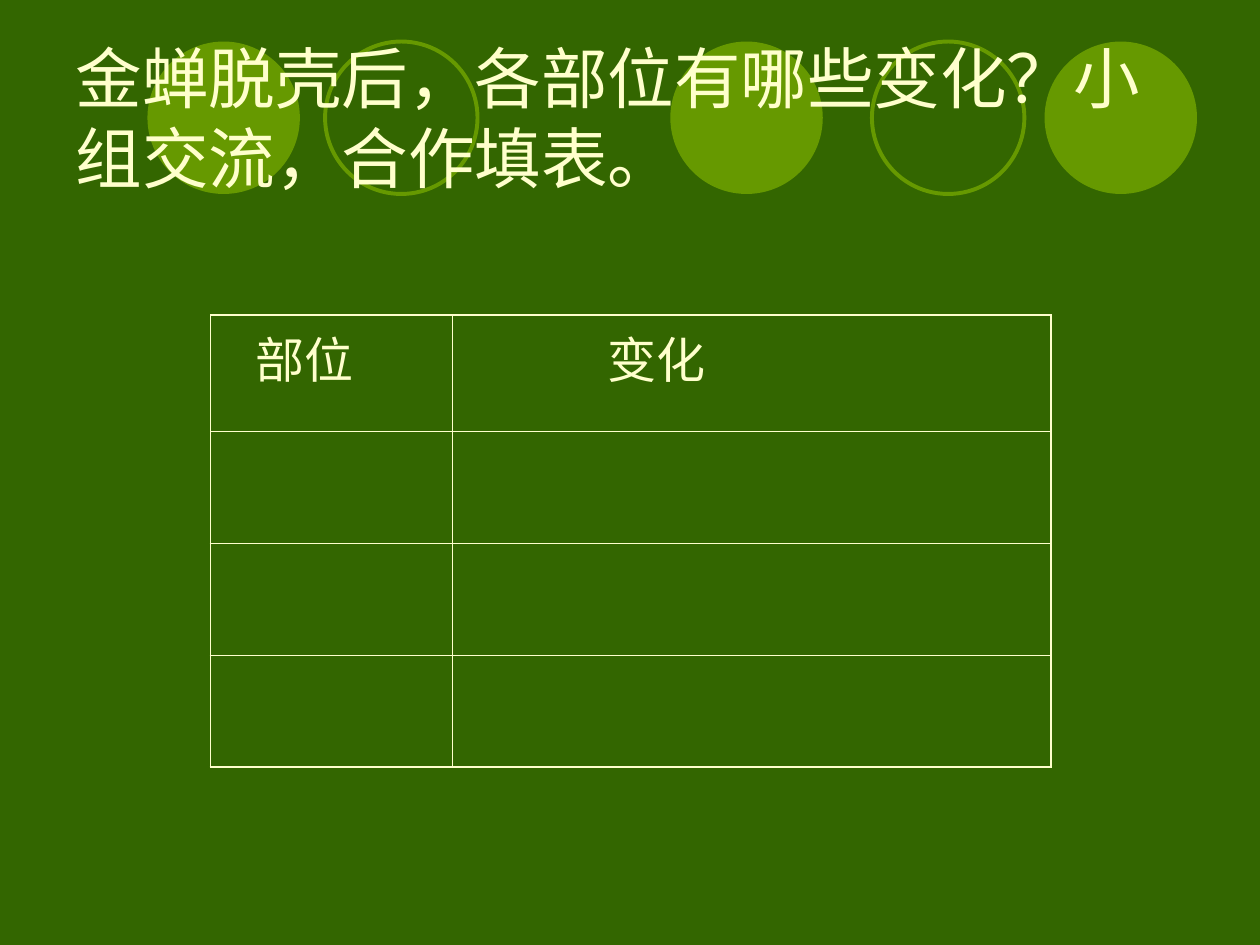
from lxml import etree
from pptx import Presentation
from pptx.dml.color import RGBColor
from pptx.enum.shapes import MSO_SHAPE
from pptx.enum.text import MSO_ANCHOR, MSO_AUTO_SIZE, PP_ALIGN
from pptx.oxml.ns import qn
from pptx.util import Inches, Pt

OVAL = MSO_SHAPE.OVAL
MIDDLE = MSO_ANCHOR.MIDDLE
NO_AUTOFIT = MSO_AUTO_SIZE.NONE
LEFT = PP_ALIGN.LEFT

DARK_GREEN = RGBColor(0x33, 0x66, 0x00)
LIME = RGBColor(0x66, 0x99, 0x00)
CREAM = RGBColor(0xFF, 0xFF, 0xCC)
TITLE_FONT = "Noto Sans CJK SC"
BODY_FONT = "Arial"

TITLE = "金蝉脱壳后，各部位有哪些变化？小组交流，合作填表。"
# Column heading, width and heading indent in inches
COLUMNS = [("部位", 1.92, 0.26), ("变化", 4.75, 1.13)]
ROW_HEIGHTS = [0.92, 0.89, 0.89, 0.89]
OUTER, INNER = Pt(1.08), Pt(0.45)
# Left edge in inches, and whether the circle is filled
CIRCLES = [(1.17, True), (2.58, False), (5.32, True), (6.92, False), (8.29, True)]


def format_text(paragraph, text, font_name, size):
    run = paragraph.add_run()
    run.text = text
    for name, value in {"name": font_name, "size": size}.items():
        setattr(run.font, name, value)
    run.font.color.rgb = CREAM
    return run


def add_circles(slide, top, diameter):
    for left, filled in CIRCLES:
        circle = slide.shapes.add_shape(OVAL, Inches(left), top, diameter, diameter)
        circle.shadow.inherit = False
        if filled:
            circle.fill.solid()
            circle.fill.fore_color.rgb = LIME
            circle.line.fill.background()
        else:
            circle.fill.background()
            circle.line.color.rgb = LIME
            circle.line.width = Pt(2.25)


def add_title(slide, left, top, width, height):
    title = slide.shapes.title
    box = {"left": left, "top": top, "width": width, "height": height}
    for name, value in box.items():
        setattr(title, name, value)
    frame = title.text_frame
    settings = {"word_wrap": True, "auto_size": NO_AUTOFIT, "vertical_anchor": MIDDLE}
    for name, value in settings.items():
        setattr(frame, name, value)
    paragraph = frame.paragraphs[0]
    paragraph.alignment = LEFT
    paragraph.line_spacing = Pt(46)
    run = format_text(paragraph, TITLE, TITLE_FONT, Pt(38))
    east_asian = etree.SubElement(run._r.get_or_add_rPr(), qn("a:ea"))
    east_asian.set("typeface", TITLE_FONT)
    # Bring the title in front of the circles
    title.element.getparent().append(title.element)


def set_borders(cell, widths):
    properties = cell._tc.get_or_add_tcPr()
    for side, width in widths.items():
        line = etree.SubElement(properties, qn(f"a:ln{side}"), w=str(width))
        fill = etree.SubElement(line, qn("a:solidFill"))
        etree.SubElement(fill, qn("a:srgbClr"), val=str(CREAM))


def add_change_table(slide, left, top, width, height):
    row_count, column_count = len(ROW_HEIGHTS), len(COLUMNS)
    table = slide.shapes.add_table(
        row_count, column_count, left, top, width, height).table
    table.first_row = False
    table.horz_banding = False
    for row, row_height in zip(table.rows, ROW_HEIGHTS):
        row.height = Inches(row_height)

    for c, (heading, column_width, indent) in enumerate(COLUMNS):
        table.columns[c].width = Inches(column_width)
        for r in range(row_count):
            cell = table.cell(r, c)
            # The heading row has a thin left edge
            set_borders(cell, {
                "L": OUTER if c == 0 and r > 0 else INNER,
                "R": OUTER if c == column_count - 1 else INNER,
                "T": OUTER if r == 0 else INNER,
                "B": OUTER if r == row_count - 1 else INNER,
            })
            cell.fill.background()
        paragraph = table.cell(0, c).text_frame.paragraphs[0]
        paragraph._p.get_or_add_pPr().set("marL", str(Inches(indent)))
        format_text(paragraph, heading, BODY_FONT, Pt(28))


def main():
    presentation = Presentation()
    presentation.slide_width = Inches(10)
    presentation.slide_height = Inches(7.5)
    slide = presentation.slides.add_slide(presentation.slide_layouts[5])
    slide.background.fill.solid()
    slide.background.fill.fore_color.rgb = DARK_GREEN

    add_circles(slide, Inches(0.33), Inches(1.21))
    add_title(slide, Inches(0.5), Inches(0.3), Inches(9), Inches(1.25))
    add_change_table(slide, Inches(1.67), Inches(2.5), Inches(6.67), Inches(3.59))
    presentation.save("out.pptx")


if __name__ == "__main__":
    main()
